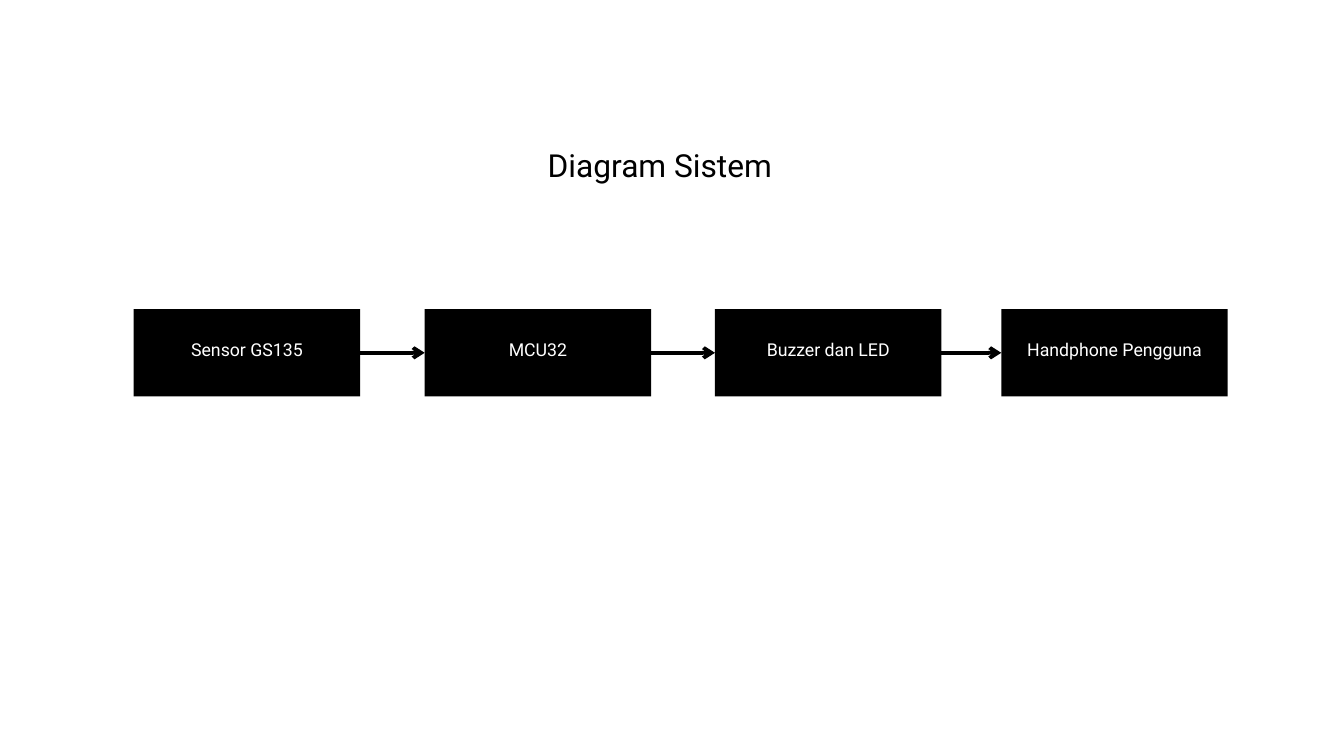
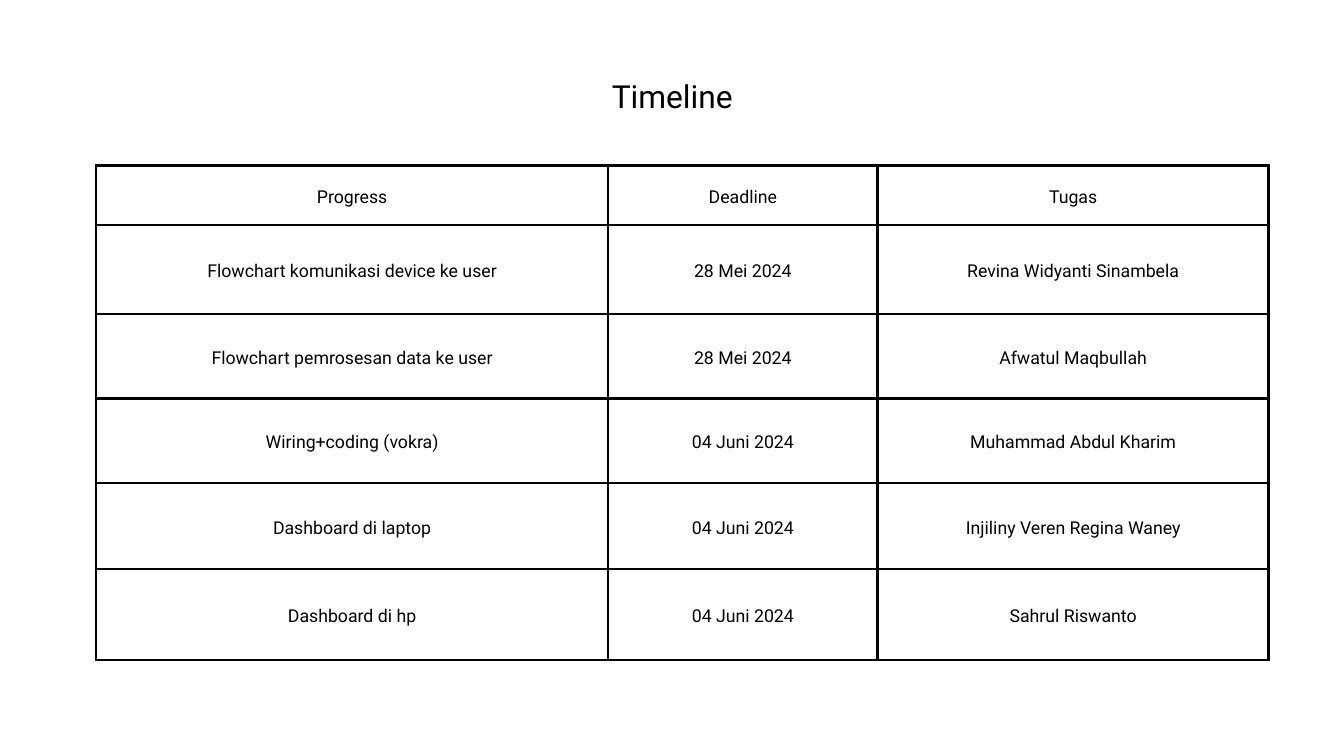
from dataclasses import dataclass
from itertools import pairwise

from lxml.etree import SubElement
from pptx import Presentation
from pptx.dml.color import RGBColor
from pptx.enum.shapes import MSO_CONNECTOR, MSO_SHAPE
from pptx.enum.text import MSO_ANCHOR, PP_ALIGN
from pptx.oxml.ns import qn
from pptx.util import Inches, Pt


@dataclass(frozen=True)
class Theme:
    font: str = "Roboto"
    ink: RGBColor = RGBColor(0, 0, 0)
    paper: RGBColor = RGBColor(255, 255, 255)
    title: int = 34
    body: int = 19
    leading: float = 1.4
    arrow: int = 4
    rule: int = 3


def put(frame, text, *, size, color, font, leading, anchor=MSO_ANCHOR.MIDDLE):
    frame.text = text
    frame.word_wrap = True
    frame.vertical_anchor = anchor
    line = frame.paragraphs[0]
    line.alignment = PP_ALIGN.CENTER
    line.line_spacing = Pt(round(size * leading, 1))
    face = line.runs[0].font
    face.name, face.size, face.color.rgb = font, Pt(size), color


def pad(item, left, top, right, bottom):
    item.margin_left, item.margin_top = Inches(left), Inches(top)
    item.margin_right, item.margin_bottom = Inches(right), Inches(bottom)


class Deck:
    """Build slides in one shared style."""

    def __init__(self, theme):
        self.theme = theme
        self.prs = Presentation()
        self.prs.slide_width = Inches(20)
        self.prs.slide_height = Inches(11.25)
        self.base = {"font": theme.font, "leading": theme.leading}

    def page(self, title, left, top, width):
        self.slide = self.prs.slides.add_slide(self.prs.slide_layouts[5])
        head = self.slide.shapes.title
        head.left, head.top = Inches(left), Inches(top)
        head.width, head.height = Inches(width), Inches(0.63)
        pad(head.text_frame, 0, 0, 0, 0)
        put(head.text_frame, title, size=self.theme.title, color=self.theme.ink,
            anchor=MSO_ANCHOR.TOP, **self.base)

    def box(self, text, left, top, width, height):
        shape = self.slide.shapes.add_shape(
            MSO_SHAPE.RECTANGLE, Inches(left), Inches(top), Inches(width), Inches(height))
        shape.shadow.inherit = False
        shape.fill.solid()
        shape.fill.fore_color.rgb = self.theme.ink
        shape.line.fill.background()
        pad(shape.text_frame, 0.06, 0.06, 0.06, 0.22)
        put(shape.text_frame, text, size=self.theme.body, color=self.theme.paper, **self.base)
        return shape

    def arrow(self, start, end):
        link = self.slide.shapes.add_connector(MSO_CONNECTOR.STRAIGHT, 0, 0, 0, 0)
        link.begin_connect(start, 3)
        link.end_connect(end, 1)
        link.line.color.rgb = self.theme.ink
        link.line.width = Pt(self.theme.arrow)
        SubElement(link.line._get_or_add_ln(), qn("a:tailEnd"), type="arrow")
        SubElement(link._element.spPr, qn("a:effectLst"))

    def border(self, cell):
        props = cell._tc.get_or_add_tcPr()
        for side in ("lnL", "lnR", "lnT", "lnB"):
            line = SubElement(props, qn(f"a:{side}"), w=str(Pt(self.theme.rule)))
            fill = SubElement(line, qn("a:solidFill"))
            SubElement(fill, qn("a:srgbClr"), val=str(self.theme.ink))

    def table(self, rows, left, top, widths, heights):
        grid = self.slide.shapes.add_table(
            len(rows), len(widths), Inches(left), Inches(top),
            Inches(sum(widths)), Inches(sum(heights))).table
        grid.first_row = grid.horz_banding = False
        for column, width in zip(grid.columns, widths):
            column.width = Inches(width)
        for row, height, texts in zip(grid.rows, heights, rows):
            row.height = Inches(height)
            for cell, text in zip(row.cells, texts):
                self.border(cell)
                cell.fill.background()
                pad(cell, 0.21, 0.21, 0.21, 0.21)
                cell.vertical_anchor = MSO_ANCHOR.MIDDLE
                put(cell.text_frame, text, size=self.theme.body,
                    color=self.theme.ink, **self.base)


def draw_system(deck):
    deck.page("Diagram Sistem", 8.01, 2.08, 3.62)
    stages = [("Sensor GS135", 1.99), ("MCU32", 6.32),
              ("Buzzer dan LED", 10.64), ("Handphone Pengguna", 14.9)]
    boxes = [deck.box(text, left, 4.6, 3.37, 1.3) for text, left in stages]
    for start, end in pairwise(boxes):
        deck.arrow(start, end)


def draw_timeline(deck):
    deck.page("Timeline", 9.01, 1.05, 1.99)
    may, june = "28 Mei 2024", "04 Juni 2024"
    rows = [
        ("Progress", "Deadline", "Tugas"),
        ("Flowchart komunikasi device ke user", may, "Revina Widyanti Sinambela"),
        ("Flowchart pemrosesan data ke user", may, "Afwatul Maqbullah"),
        ("Wiring+coding (vokra)", june, "Muhammad Abdul Kharim"),
        ("Dashboard di laptop", june, "Injiliny Veren Regina Waney"),
        ("Dashboard di hp", june, "Sahrul Riswanto"),
    ]
    deck.table(rows, 1.43, 2.46, [7.62, 4.01, 5.82],
               [0.89, 1.32, 1.26, 1.26, 1.28, 1.35])


def main():
    deck = Deck(Theme())
    draw_system(deck)
    draw_timeline(deck)
    deck.prs.save("out.pptx")


if __name__ == "__main__":
    main()
